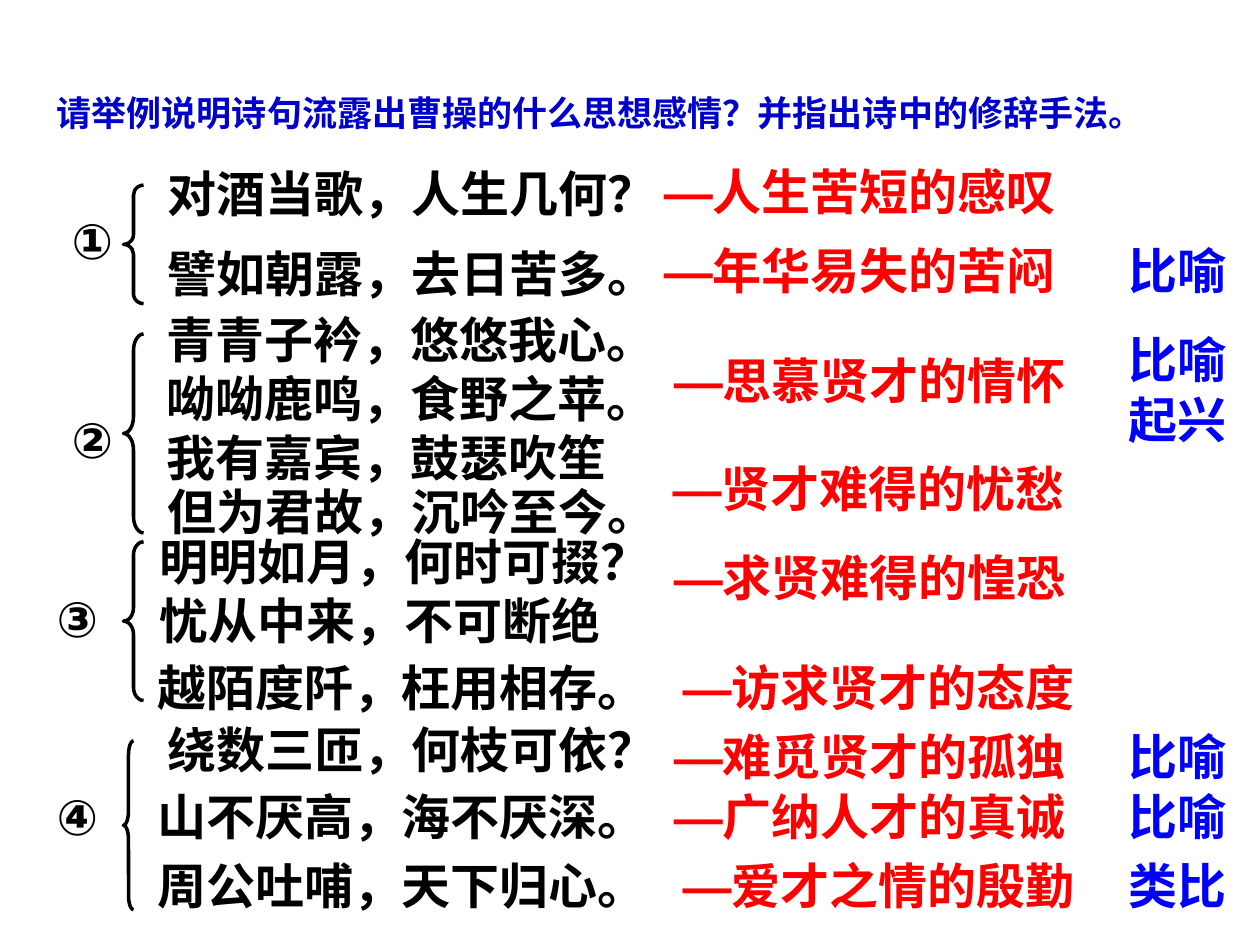
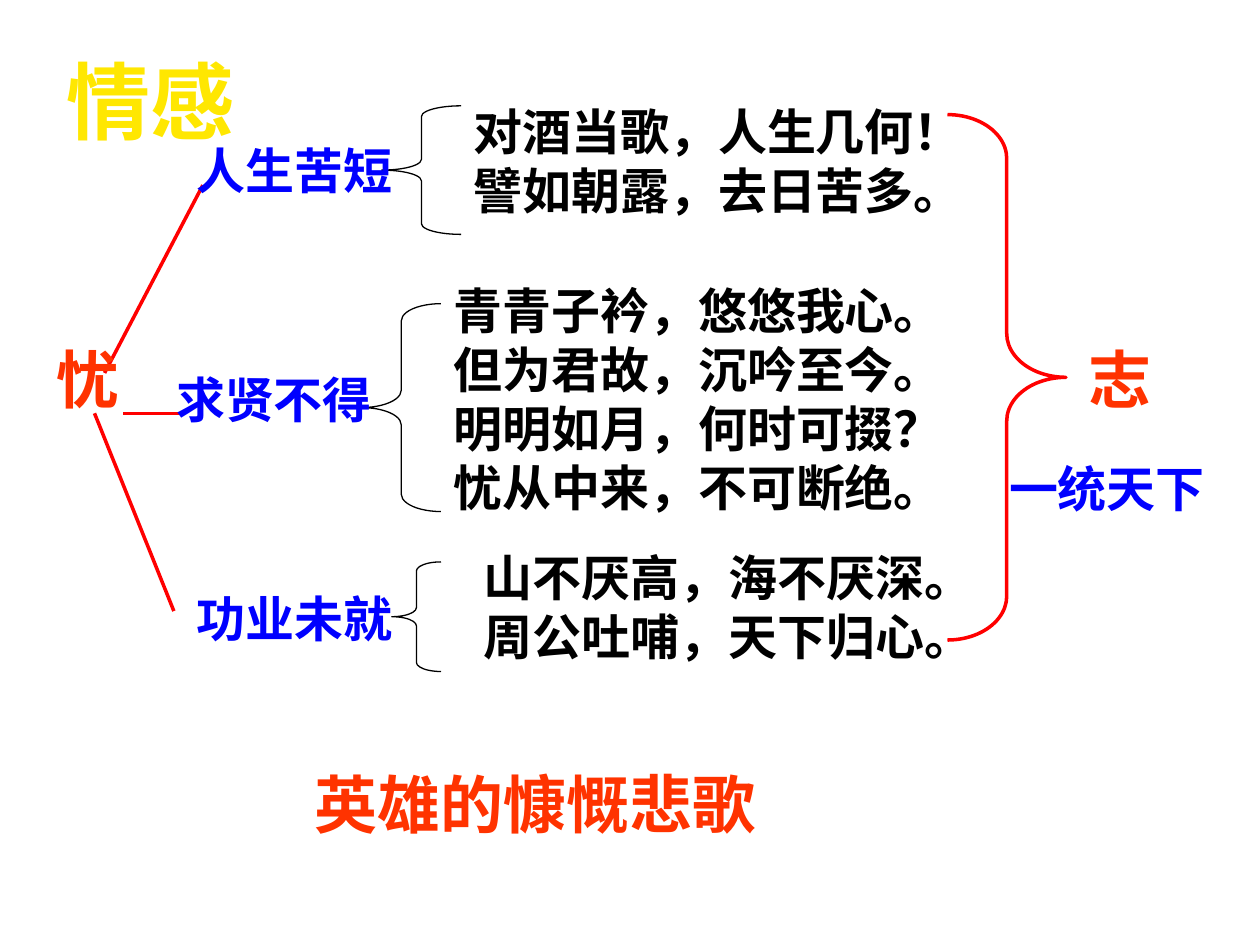
from dataclasses import dataclass

from lxml import etree
from pptx import Presentation
from pptx import util as u
from pptx.dml.color import RGBColor
from pptx.enum import shapes, text
from pptx.oxml.ns import qn

COLORS = {
    "question": "0000CC",
    "verse": "000000",
    "feeling": "FF0000",
    "device": "0000FF",
    "theme": "FF3300",
    "heading": "FFE701",
}
LATIN = "Arial"
CHINESE = "Noto Sans CJK SC"
LEADING = 1.2
BRACE_ARC = 1 / 12

deck = Presentation()
deck.slide_width, deck.slide_height = u.Inches(10), u.Inches(7.5)
COLUMN = deck.slide_width / 100
ROW = deck.slide_height / 75


@dataclass(frozen=True)
class Cell:
    col: float
    row: float
    cols: float
    rows: float

    def emu(self) -> tuple[int, int, int, int]:
        return (round(self.col * COLUMN), round(self.row * ROW),
                round(self.cols * COLUMN), round(self.rows * ROW))


@dataclass(frozen=True)
class Style:
    color: str
    size: int = 28
    font: str = LATIN


@dataclass(frozen=True)
class Label:
    words: str
    cell: Cell
    style: Style


@dataclass(frozen=True)
class Brace:
    cell: Cell
    color: str = "verse"
    weight: float = 2
    kind: shapes.MSO_SHAPE = shapes.MSO_SHAPE.LEFT_BRACE


@dataclass(frozen=True)
class Branch:
    start: tuple[float, float]
    end: tuple[float, float]


QUESTION = Style("question", 20)
VERSE = Style("verse")
FEELING = Style("feeling")
DEVICE = Style("device")
THEME = Style("theme", 36)
HEADING = Style("heading", 48, CHINESE)


def rgb(name: str) -> RGBColor:
    return RGBColor.from_string(COLORS[name])


def write(shape, label: Label, anchor=text.MSO_ANCHOR.TOP) -> None:
    shape.left, shape.top, shape.width, shape.height = label.cell.emu()
    frame = shape.text_frame
    frame.text = label.words
    frame.word_wrap = True
    frame.auto_size = text.MSO_AUTO_SIZE.NONE
    frame.vertical_anchor = anchor
    for line in frame.paragraphs:
        props = line._p.get_or_add_pPr()
        props.set("marL", "0")
        props.set("indent", "0")
        etree.SubElement(props, qn("a:buNone"))
        line.alignment = text.PP_ALIGN.LEFT
        line.space_before = u.Pt(0)
        line.line_spacing = u.Pt(label.style.size * LEADING)
        for run in line.runs:
            run.font.size = u.Pt(label.style.size)
            run.font.bold = True
            run.font.name = label.style.font
            run.font.color.rgb = rgb(label.style.color)
            run._r.get_or_add_rPr().set("lang", "zh-CN")
            east_asian = etree.SubElement(run._r.rPr, qn("a:ea"))
            east_asian.set("typeface", label.style.font)


def add_label(slide, label: Label) -> None:
    write(slide.shapes.add_textbox(*label.cell.emu()), label)


def add_brace(slide, brace: Brace) -> None:
    shape = slide.shapes.add_shape(brace.kind, *brace.cell.emu())
    shape.shadow.inherit = False
    shape.fill.background()
    shape.line.color.rgb = rgb(brace.color)
    shape.line.width = u.Pt(brace.weight)
    shorter = min(shape.width, shape.height)
    shape.adjustments[0] = shape.height * BRACE_ARC / shorter


def add_branch(slide, branch: Branch) -> None:
    (x1, y1), (x2, y2) = branch.start, branch.end
    line = slide.shapes.add_connector(
        shapes.MSO_CONNECTOR.STRAIGHT,
        round(x1 * COLUMN), round(y1 * ROW), round(x2 * COLUMN), round(y2 * ROW))
    line.line.color.rgb = rgb("feeling")
    line.line.width = u.Pt(2)
    etree.SubElement(line._element.spPr, qn("a:effectLst"))


def add_slide(title: Label, verses: Label, anchor=text.MSO_ANCHOR.TOP):
    slide = deck.slides.add_slide(deck.slide_layouts[1])
    write(slide.shapes.title, title, anchor)
    write(slide.placeholders[1], verses)
    return slide


def one_line(words: str, col: float, row: float, cols: float, style: Style) -> Label:
    return Label(words, Cell(col, row, cols, style.size / 6 + 1), style)


def build_rhetoric() -> None:
    slide = add_slide(
        one_line("请举例说明诗句流露出曹操的什么思想感情？并指出诗中的修辞手法。",
                 3.5, 6.8, 92.5, QUESTION),
        Label("青青子衿，悠悠我心。\n呦呦鹿鸣，食野之苹。\n我有嘉宾，鼓瑟吹笙",
              Cell(12.2, 24.1, 44.5, 15), VERSE))

    for number, col, row in (("①", 4.7, 16.2), ("②", 4.7, 32),
                             ("③", 3.5, 46.2), ("④", 3.5, 61.9)):
        add_label(slide, one_line(number, col, row, 5.9, VERSE))

    for top, height, width in ((14.7, 9.4, 1.6), (26.5, 15.8, 1.6),
                               (43, 12.6, 1.6), (58.8, 13.4, 0.8)):
        add_brace(slide, Brace(Cell(9.8, top, width, height)))

    for words, col, row in (
        ("对酒当歌，人生几何？", 12.3, 12.5),
        ("譬如朝露，去日苦多。", 12.3, 18.8),
        ("但为君故，沉吟至今。", 12.3, 37.7),
        ("越陌度阡，枉用相存。", 11.5, 51.7),
        ("绕数三匝，何枝可依？", 12.3, 56.6),
        ("山不厌高，海不厌深。", 11.5, 61.9),
        ("周公吐哺，天下归心。", 11.5, 67.4),
    ):
        add_label(slide, one_line(words, col, row, 41.5, VERSE))
    add_label(slide, Label("明明如月，何时可掇？\n忧从中来，不可断绝",
                           Cell(11.7, 41.7, 41.7, 10.4), VERSE))

    for words, col, row in (
        ("—人生苦短的感叹", 51.7, 12.3),
        ("—年华易失的苦闷", 51.7, 18.6),
        ("—思慕贤才的情怀", 52.5, 27.3),
        ("—贤才难得的忧愁", 52.4, 35.9),
        ("—求贤难得的惶恐", 52.5, 43),
        ("—访求贤才的态度", 53.2, 51.7),
        ("—难觅贤才的孤独", 52.5, 57.2),
        ("—广纳人才的真诚", 52.5, 61.9),
        ("—爱才之情的殷勤", 53.2, 67.4),
    ):
        add_label(slide, one_line(words, col, row, 33.5, FEELING))

    for words, row in (("比喻", 18.6), ("比喻", 25.7), ("起兴", 30.4),
                       ("比喻", 57.2), ("比喻", 61.9), ("类比", 67.4)):
        add_label(slide, one_line(words, 88.6, row, 10, DEVICE))


def build_emotion() -> None:
    slide = add_slide(
        Label("情感", Cell(4.3, 2.8, 16, 10.2), HEADING),
        Label("青青子衿，悠悠我心。\n但为君故，沉吟至今。\n"
              "明明如月，何时可掇？\n忧从中来，不可断绝。",
              Cell(35, 21.8, 44.1, 19.7), VERSE),
        text.MSO_ANCHOR.MIDDLE)

    for branch in (Branch((8.3, 29.6), (16.1, 14.7)),
                   Branch((9.8, 32.8), (14.6, 32.8)),
                   Branch((7.5, 32.8), (13.8, 48.5))):
        add_branch(slide, branch)

    for cell in (Cell(30.3, 8.4, 6.3, 10.2), Cell(28.7, 24.1, 6.3, 16.5),
                 Cell(31.1, 44.6, 3.9, 8.7)):
        add_brace(slide, Brace(cell, weight=0.75))
    add_brace(slide, Brace(Cell(75.2, 9.1, 9.4, 41.7), "feeling",
                           kind=shapes.MSO_SHAPE.RIGHT_BRACE))

    for words, col, row, cols in (("人生苦短", 14.6, 10.7, 24.4),
                                  ("求贤不得", 13, 28.8, 24.4),
                                  ("功业未就", 14.6, 46.2, 22),
                                  ("一统天下", 79.1, 35.9, 20.9)):
        add_label(slide, one_line(words, col, row, cols, DEVICE))

    for words, cell in (
        ("对酒当歌，人生几何！\n譬如朝露，去日苦多。", Cell(36.6, 7.6, 43.3, 10.4)),
        ("山不厌高，海不厌深。\n周公吐哺，天下归心。", Cell(37.4, 43, 46.5, 10.4)),
    ):
        add_label(slide, Label(words, cell, VERSE))

    for words, col, row, cols in (("忧", 3.5, 26.5, 12.6),
                                  ("志", 85.4, 26.5, 11.8),
                                  ("英雄的慷慨悲歌", 24, 60.3, 76)):
        add_label(slide, one_line(words, col, row, cols, THEME))


def main() -> None:
    build_rhetoric()
    build_emotion()
    deck.save("out.pptx")


if __name__ == "__main__":
    main()
